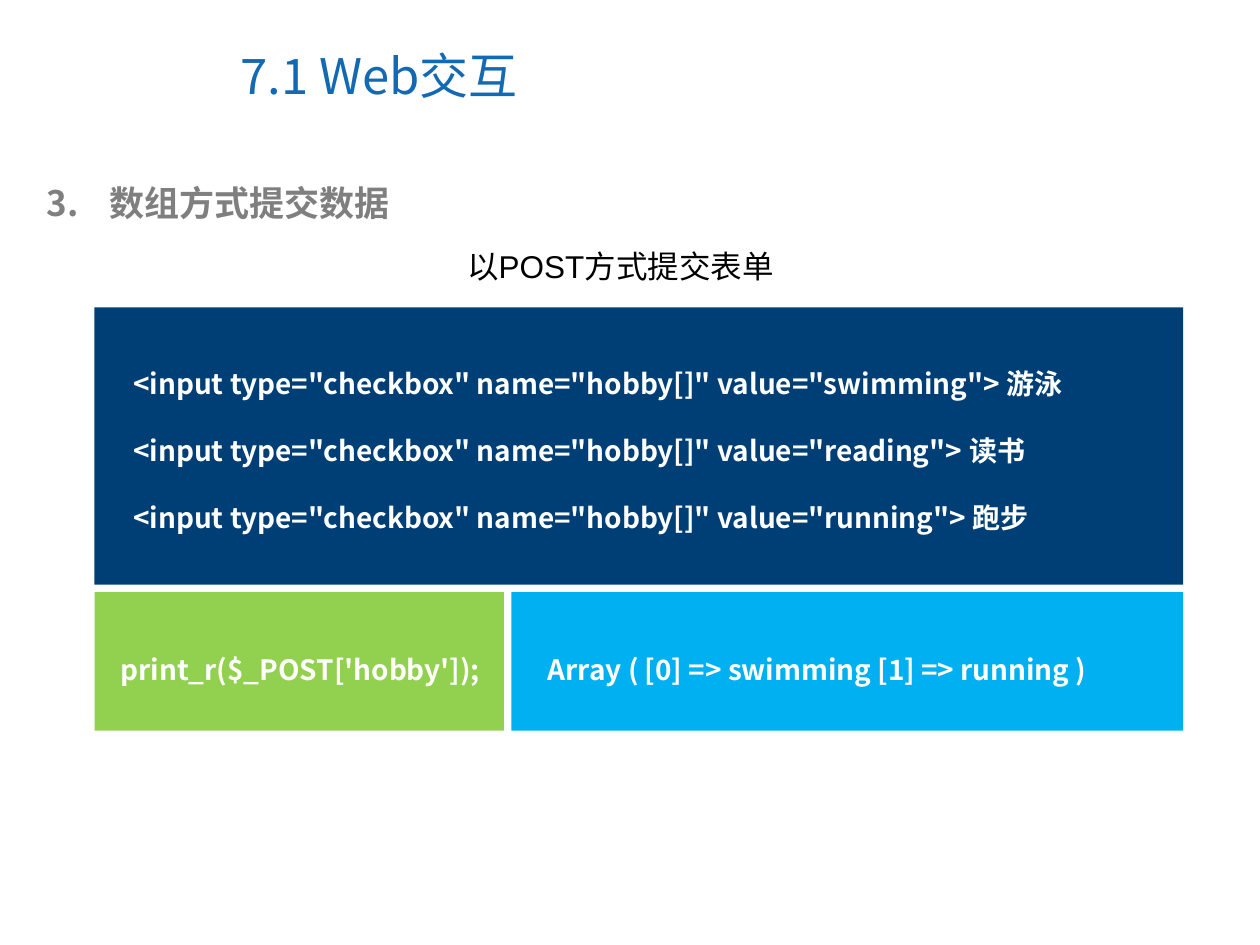
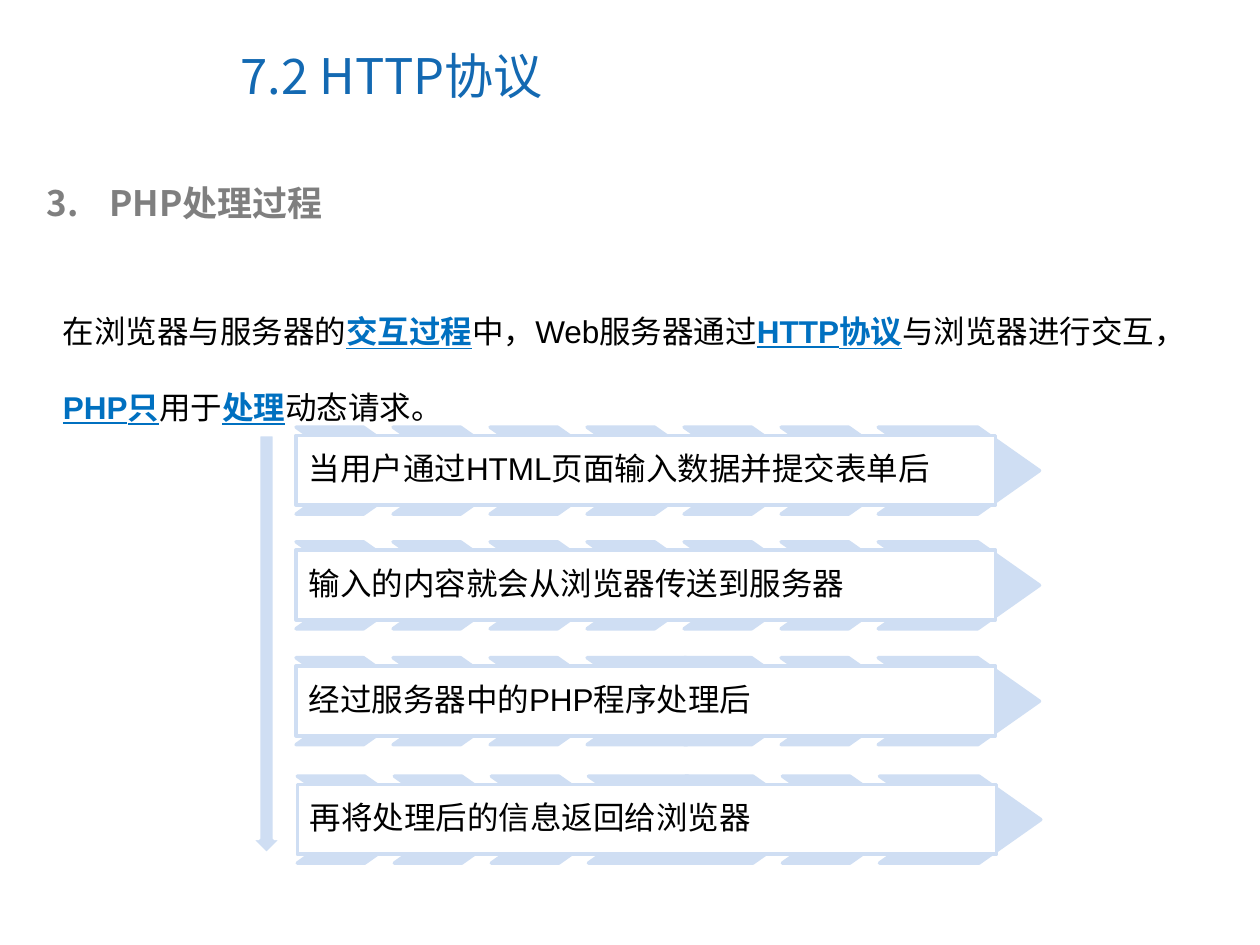
from lxml import etree
from pptx import Presentation
from pptx.dml.color import RGBColor
from pptx.enum.shapes import MSO_SHAPE
from pptx.enum.text import MSO_ANCHOR, MSO_AUTO_SIZE, PP_ALIGN
from pptx.oxml.ns import qn
from pptx.util import Inches, Pt

RECTANGLE, CHEVRON, DOWN_ARROW = MSO_SHAPE.RECTANGLE, MSO_SHAPE.CHEVRON, MSO_SHAPE.DOWN_ARROW
TOP, MIDDLE = MSO_ANCHOR.TOP, MSO_ANCHOR.MIDDLE
LEFT = PP_ALIGN.LEFT
NO_FIT = MSO_AUTO_SIZE.NONE

COLUMNS, ROWS = 100, 75
TITLE_ONLY = 5
SANS, BODY = "Noto Sans CJK SC", "Arial"
COLOURS = {
    "title": "1369B2", "heading": "7F7F7F", "text": "000000", "keyword": "0070C0",
    "white": "FFFFFF", "navy": "003F75", "sky": "00B0F0", "green": "92D050", "pale": "CFDEF3",
}
FONTS = {
    "title": ("title", {"name": SANS, "size": Pt(28), "bold": False}),
    "heading": ("heading", {"name": SANS, "size": Pt(20), "bold": True}),
    "code": ("white", {"name": SANS, "size": Pt(16), "bold": True}),
    "body": ("text", {"name": BODY, "size": Pt(18)}),
    "keyword": ("keyword", {"name": BODY, "size": Pt(18), "bold": True, "underline": True}),
}
DOUBLE = {"line_spacing": 2.0}
STEP_SPACING = {"line_spacing": 0.9, "space_after": Pt(7.9)}


def set_attributes(target, values):
    """Set each named attribute of the target."""
    for name, value in values.items():
        setattr(target, name, value)


class Deck:
    """Hold the shared style and the slide being built."""

    def __init__(self):
        """Start a presentation with its grid."""
        self.presentation = Presentation()
        set_attributes(self.presentation, {"slide_width": Inches(10), "slide_height": Inches(7.5)})
        self.column = self.presentation.slide_width / COLUMNS
        self.row = self.presentation.slide_height / ROWS
        self.slide = None

    def colour(self, name):
        """Return a named colour."""
        return RGBColor.from_string(COLOURS[name])

    def place(self, left, top, width, height):
        """Turn grid columns and rows into lengths."""
        return [round(left * self.column), round(top * self.row),
                round(width * self.column), round(height * self.row)]

    def fill_text(self, shape, paragraphs, spacing=None, anchor=TOP, wrap=True):
        """Fill a shape with paragraphs of (text, font) runs."""
        frame = shape.text_frame
        set_attributes(frame, {"word_wrap": wrap, "auto_size": NO_FIT, "vertical_anchor": anchor})
        for index, runs in enumerate(paragraphs):
            paragraph = frame.add_paragraph() if index else frame.paragraphs[0]
            set_attributes(paragraph, {"alignment": LEFT, **(spacing or {})})
            for text, font in runs:
                run = paragraph.add_run()
                run.text = text
                colour, values = FONTS[font]
                set_attributes(run.font, values)
                run.font.color.rgb = self.colour(colour)
                east_asian = etree.SubElement(run._r.get_or_add_rPr(), qn("a:ea"))
                east_asian.set("typeface", SANS)

    def start(self, title, heading, number):
        """Add a slide with its title and numbered heading."""
        layout = self.presentation.slide_layouts[TITLE_ONLY]
        self.slide = self.presentation.slides.add_slide(layout)
        shape = self.slide.shapes.title
        box = self.place(18.1, 1.7, 51.6, 8.5)
        set_attributes(shape, dict(zip(("left", "top", "width", "height"), box)))
        self.fill_text(shape, [[(title, "title")]], anchor=MIDDLE)
        self.numbered(heading, number, (2.7, 13.9, 92.2, 4.4))

    def numbered(self, text, number, box):
        """Add a numbered heading with a hanging indent."""
        shape = self.text([[(text, "heading")]], box)
        properties = shape.text_frame.paragraphs[0]._p.get_or_add_pPr()
        indent = Inches(0.5)
        properties.set("marL", str(indent))
        properties.set("indent", str(-indent))
        numbering = etree.SubElement(properties, qn("a:buAutoNum"))
        numbering.set("type", "arabicPeriod")
        numbering.set("startAt", str(number))

    def text(self, paragraphs, box, **options):
        """Add a text box."""
        shape = self.slide.shapes.add_textbox(*self.place(*box))
        self.fill_text(shape, paragraphs, **options)
        return shape

    def shape(self, kind, box, fill, line=None):
        """Add a flat preset shape."""
        shape = self.slide.shapes.add_shape(kind, *self.place(*box))
        shape.shadow.inherit = False
        shape.fill.solid()
        shape.fill.fore_color.rgb = self.colour(fill)
        if line:
            shape.line.color.rgb = self.colour(line)
            shape.line.width = Pt(2)
        else:
            shape.line.fill.background()
        return shape

    def panel(self, lines, box, text_box, fill):
        """Add a coloured panel with lines of code."""
        self.shape(RECTANGLE, box, fill)
        self.text([[(line, "code")] for line in lines], text_box, spacing=DOUBLE)

    def step(self, text, left, top, wide):
        """Add a process step over a band of chevrons."""
        pitch, height, notch = 7.7, 6.9, 4.9
        for index in range(7):
            width = 12.8 if index in wide else 10.25
            box = (left + index * pitch, top, width, height)
            chevron = self.shape(CHEVRON, box, "pale", "pale")
            chevron.adjustments[0] = notch / height
        label = self.shape(RECTANGLE, (left, top + 0.65, 55.5, 5.55), "white", "pale")
        margins = ("margin_left", "margin_top", "margin_right", "margin_bottom")
        set_attributes(label.text_frame, dict.fromkeys(margins, Inches(0.1)))
        self.fill_text(label, [[(text, "body")]], spacing=STEP_SPACING, anchor=MIDDLE)


def build_form_slide(deck):
    """Build the slide on submitting arrays."""
    deck.start("7.1 Web交互", "数组方式提交数据", 3)
    hobbies = {"swimming": "游泳", "reading": "读书", "running": "跑步"}
    inputs = [f'<input type="checkbox" name="hobby[]" value="{value}"> {label}'
              for value, label in hobbies.items()]
    deck.panel(inputs, (7.5, 24.4, 86.4, 22), (9.6, 25.9, 83.1, 17), "navy")
    deck.panel(["Array ( [0] => swimming [1] => running )"],
               (40.6, 47, 53.3, 11), (42.5, 48.6, 51.4, 6.4), "sky")
    deck.panel(["print_r($_POST['hobby']);"],
               (7.5, 47, 32.5, 11), (8.6, 48.6, 31.4, 6.4), "green")
    deck.text([[("以POST方式提交表单", "body")]], (36.1, 19.1, 27.5, 4), wrap=False)


def build_process_slide(deck):
    """Build the slide on how PHP handles a request."""
    deck.start("7.2 HTTP协议", "PHP处理过程", 3)
    summary = [
        ("在浏览器与服务器的", "body"), ("交互过程", "keyword"),
        ("中，Web服务器通过", "body"), ("HTTP协议", "keyword"),
        ("与浏览器进行交互，", "body"), ("PHP只", "keyword"),
        ("用于", "body"), ("处理", "keyword"), ("动态请求。", "body"),
    ]
    deck.text([summary], (4, 21.3, 91.9, 13), spacing=DOUBLE)
    steps = [
        ("当用户通过HTML页面输入数据并提交表单后", 23.5, 33.9, {6}),
        ("输入的内容就会从浏览器传送到服务器", 23.5, 43, {6}),
        ("经过服务器中的PHP程序处理后", 23.5, 52.2, {3, 6}),
        ("再将处理后的信息返回给浏览器", 23.6, 61.6, {3, 6}),
    ]
    for step in steps:
        deck.step(*step)
    deck.shape(DOWN_ARROW, (19.9, 34.5, 2.5, 33.3), "pale", "white")


def main():
    """Build and save the presentation."""
    deck = Deck()
    build_form_slide(deck)
    build_process_slide(deck)
    deck.presentation.save("out.pptx")


if __name__ == "__main__":
    main()
